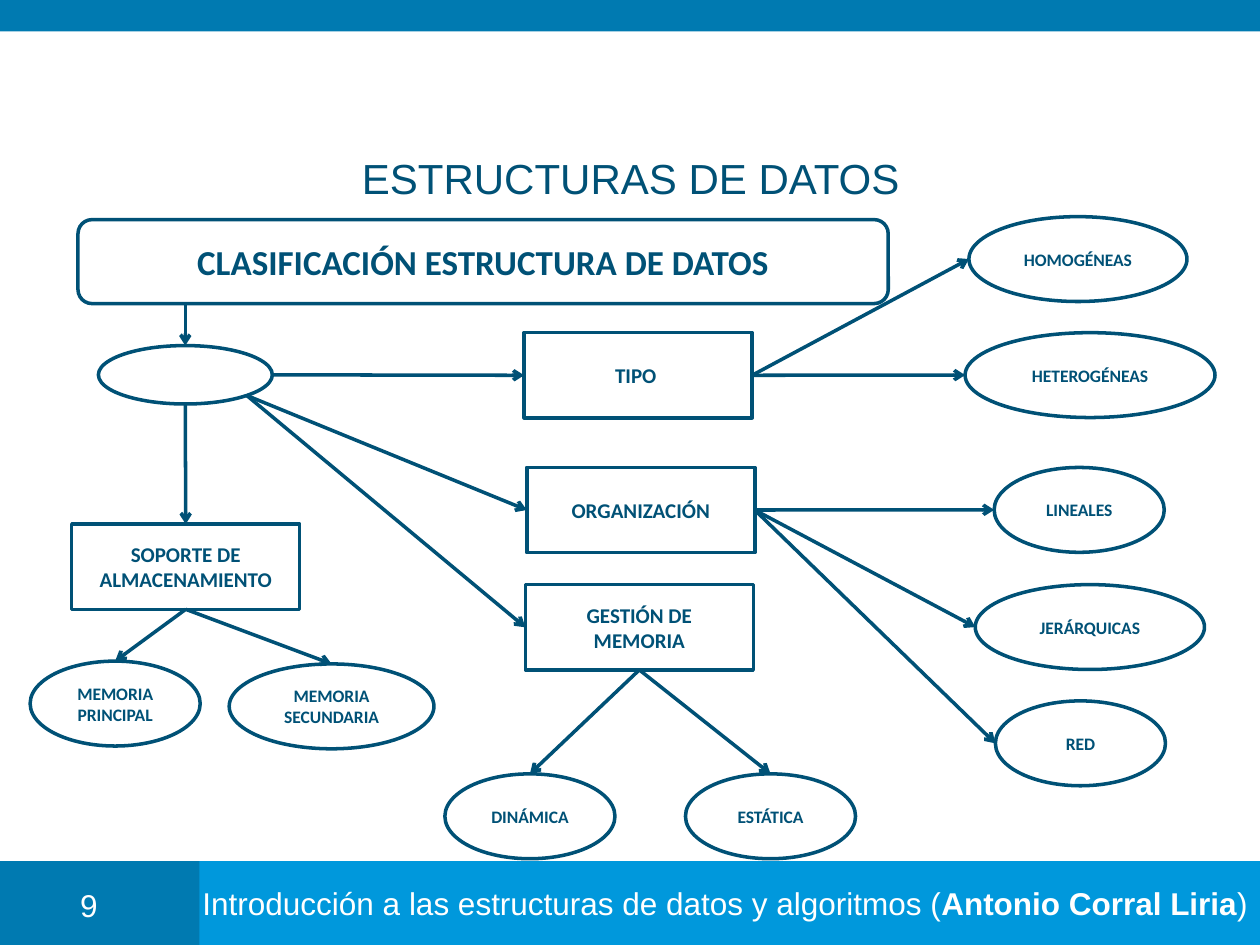
from math import sqrt

from lxml.etree import SubElement
from pptx import Presentation
from pptx.dml.color import RGBColor
from pptx.enum.shapes import MSO_CONNECTOR, MSO_SHAPE
from pptx.enum.text import MSO_ANCHOR, PP_ALIGN
from pptx.oxml.ns import qn
from pptx.util import Pt

NAVY, BLUE, SKY, WHITE = "005176", "007AB1", "0098DC", "FFFFFF"

# Content: name -> (lines, left, top, width)
CATEGORIES = {
    "type": (["TIPO "], 299.5, 190.1, 130.3),
    "organization": (["ORGANIZACIÓN"], 301, 267.1, 130.3),
    "memory": (["GESTIÓN DE", "MEMORIA"], 300.2, 334.1, 130.3),
    "storage": (["SOPORTE DE", "ALMACENAMIENTO"], 41, 299.5, 130.3),
}
LEAVES = {
    "homogeneous": (["HOMOGÉNEAS"], 553.7, 123.8, 124.6),
    "heterogeneous": (["HETEROGÉNEAS"], 551.5, 190.1, 142.8),
    "linear": (["LINEALES"], 568.1, 267.1, 97.2),
    "hierarchical": (["JERÁRQUICAS"], 557.3, 334.1, 131),
    "network": (["RED"], 568.8, 400.5, 97.2),
    "main": (["MEMORIA PRINCIPAL"], 17.2, 377.8, 97.2),
    "secondary": (["MEMORIA SECUNDARIA"], 131, 379.4, 117),
    "dynamic": (["DINÁMICA"], 254.2, 442.2, 97.2),
    "static": (["ESTÁTICA"], 391.7, 442.2, 97.2),
}
# Category -> (side it leaves from, leaves reached, side of the leaf)
BRANCHES = {
    "type": ("right", ["homogeneous", "heterogeneous"], "left"),
    "organization": ("right", ["linear", "hierarchical", "network"], "left"),
    "storage": ("bottom", ["main", "secondary"], "top"),
    "memory": ("bottom", ["dynamic", "static"], "top"),
}
# Category -> (side of the hub, side of the category)
HUB_LINKS = {
    "type": ("right", "left"),
    "organization": ("corner", "left"),
    "memory": ("corner", "left"),
    "storage": ("bottom", "top"),
}
FOOTER = [("Introducción a las estructuras de datos y algoritmos (", False),
          ("Antonio Corral Liria", True), (")", False)]

# Sides as shares of width and height; rectangle sides as connection sites
DIAGONAL = 0.5 + sqrt(0.5) / 2
SIDES = {"top": (0.5, 0), "left": (0, 0.5), "bottom": (0.5, 1),
         "right": (1, 0.5), "corner": (DIAGONAL, DIAGONAL)}
SITES = {"top": 0, "left": 1, "bottom": 2, "right": 3}


def color(value):
    return RGBColor.from_string(value)


def write(box, paragraphs, size, font="Calibri", ink=NAVY,
          align=PP_ALIGN.CENTER, anchor=MSO_ANCHOR.MIDDLE, wrap=True):
    """Each paragraph is a list of (text, bold) spans."""
    frame = box.text_frame
    frame.word_wrap, frame.vertical_anchor = wrap, anchor
    for index, spans in enumerate(paragraphs):
        para = frame.add_paragraph() if index else frame.paragraphs[0]
        para.alignment = align
        for text, bold in spans:
            span = para.add_run()
            span.text = text
            for name, value in {"name": font, "size": Pt(size), "bold": bold}.items():
                setattr(span.font, name, value)
            span.font.color.rgb = color(ink)


def add_box(kind, left, top, width, height, fill=None):
    box = page.shapes.add_shape(kind, Pt(left), Pt(top), Pt(width), Pt(height))
    box.shadow.inherit = False
    if fill:
        box.fill.solid()
        box.fill.fore_color.rgb = color(fill)
        box.line.fill.background()
    else:
        box.fill.background()
        box.line.color.rgb = color(NAVY)
        box.line.width = Pt(2)
    return box


def add_text(left, top, width, height, text, size, ink, anchor):
    box = page.shapes.add_textbox(Pt(left), Pt(top), Pt(width), Pt(height))
    write(box, [[(text, False)]], size, "Arial", ink, anchor=anchor)


def side_point(box, side):
    across, down = SIDES[side]
    return int(box.left + across * box.width), int(box.top + down * box.height)


def add_arrow(start, end):
    arrow = page.shapes.add_connector(MSO_CONNECTOR.STRAIGHT, *start, *end)
    arrow.line.color.rgb = color(NAVY)
    arrow.line.width = Pt(2)
    SubElement(arrow.line._get_or_add_ln(), qn("a:tailEnd"), type="arrow")
    SubElement(arrow._element.spPr, qn("a:effectLst"))
    return arrow


deck = Presentation()
deck.slide_width, deck.slide_height = Pt(720), Pt(540)
page = deck.slides.add_slide(deck.slide_layouts[6])

# Bands, footer, page number and title
add_box(MSO_SHAPE.RECTANGLE, 0, 492, 131.8, 48, BLUE)
footer = add_box(MSO_SHAPE.RECTANGLE, 114, 492, 606, 48, SKY)
write(footer, [FOOTER], 18, "Arial", WHITE, PP_ALIGN.RIGHT, wrap=False)
# The darker band lies beside the footer text
footer.left, footer.width = Pt(114), Pt(606)
add_box(MSO_SHAPE.RECTANGLE, 0, 0, 720, 18, BLUE)
add_text(25.2, 502.6, 51.1, 23, "9", 18, WHITE, MSO_ANCHOR.TOP)
add_text(59.8, 86.4, 601.2, 30.2, "ESTRUCTURAS DE DATOS", 24, NAVY, MSO_ANCHOR.MIDDLE)

# Heading and hub
heading = add_box(MSO_SHAPE.ROUNDED_RECTANGLE, 44.6, 125.5, 463, 48)
write(heading, [[("CLASIFICACIÓN ESTRUCTURA DE DATOS", True)]], 20)
hub = add_box(MSO_SHAPE.OVAL, 56.2, 197.5, 99.4, 33.4)

# Categories and leaves
nodes = {}
for kind, height, size, group in [(MSO_SHAPE.RECTANGLE, 48.7, 12, CATEGORIES),
                                  (MSO_SHAPE.OVAL, 48.5, 10, LEAVES)]:
    for name, (lines, left, top, width) in group.items():
        nodes[name] = add_box(kind, left, top, width, height)
        write(nodes[name], [[(line, True)] for line in lines], size)

# Arrows from heading to hub, hub to categories, categories to leaves
hub_top = side_point(hub, "top")
add_arrow((hub_top[0], heading.top + heading.height), hub_top)
for name, (hub_side, side) in HUB_LINKS.items():
    arrow = add_arrow(side_point(hub, hub_side), side_point(nodes[name], side))
    arrow.end_connect(nodes[name], SITES[side])
for name, (side, leaves, leaf_side) in BRANCHES.items():
    for leaf in leaves:
        arrow = add_arrow(side_point(nodes[name], side), side_point(nodes[leaf], leaf_side))
        arrow.begin_connect(nodes[name], SITES[side])

deck.save("out.pptx")
